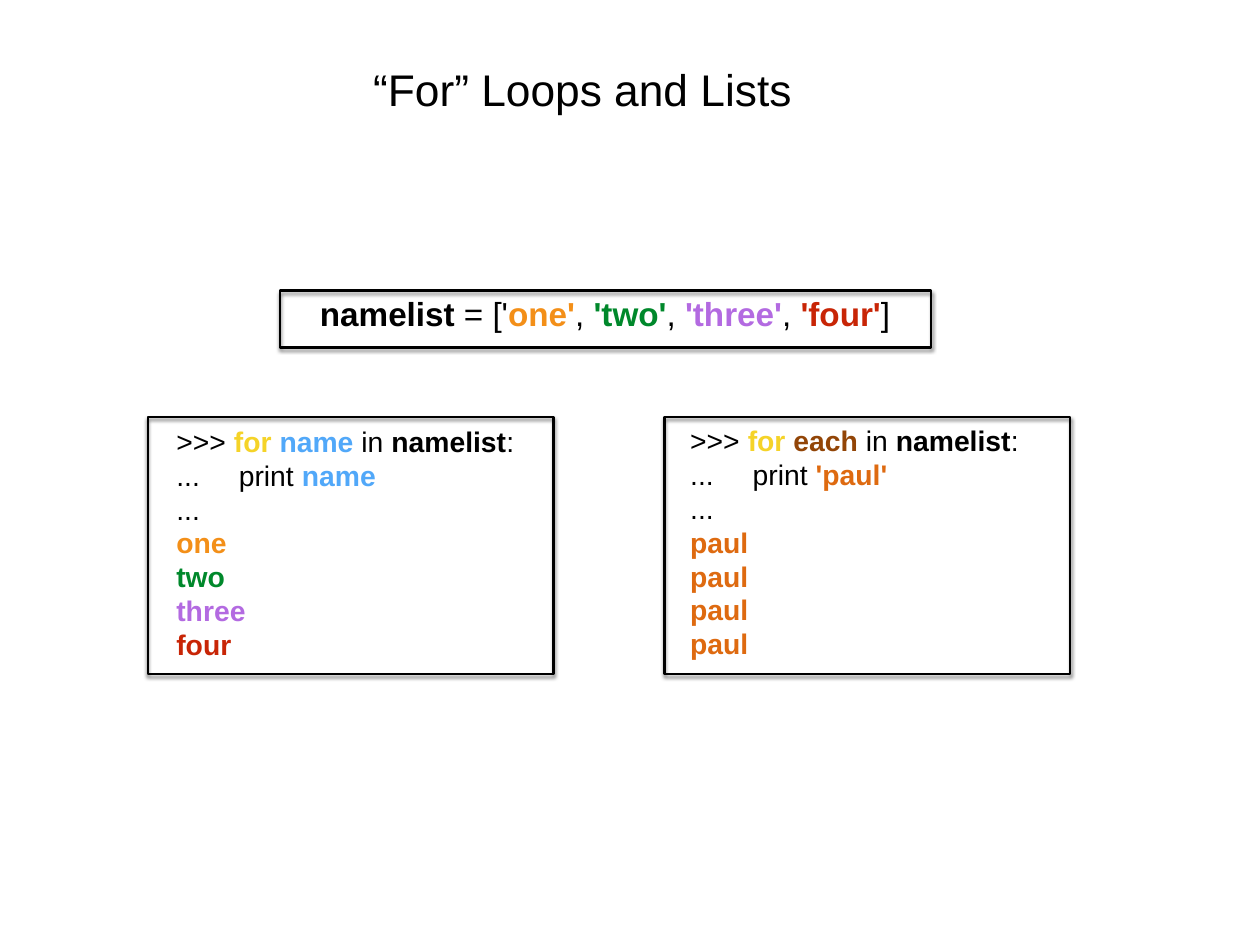
"""Build the slide on for loops and lists."""
from dataclasses import dataclass

from lxml.etree import SubElement
from pptx import Presentation
from pptx.dml.color import RGBColor
from pptx.enum.shapes import MSO_SHAPE
from pptx.enum.text import MSO_ANCHOR, MSO_AUTO_SIZE, PP_ALIGN
from pptx.oxml.ns import qn
from pptx.util import Pt

BLACK, YELLOW, BLUE, BROWN = "000000", "F5D328", "51A8F9", "924507"
ORANGE, GREEN, PURPLE, RED, RUST = "F38F18", "00882B", "B36AE1", "C82506", "DE6A10"
FRAME_FORMAT = {
    "word_wrap": True,
    "auto_size": MSO_AUTO_SIZE.NONE,
    "vertical_anchor": MSO_ANCHOR.MIDDLE,
    **{f"margin_{side}": Pt(4.3) for side in ("left", "top", "right", "bottom")},
}


@dataclass(frozen=True)
class Box:
    left: float
    top: float
    width: float
    height: float

    def lengths(self) -> list:
        return [Pt(v) for v in (self.left, self.top, self.width, self.height)]


@dataclass(frozen=True)
class Span:
    text: str
    color: str = BLACK
    bold: bool = False


@dataclass(frozen=True)
class Text:
    box: Box
    size: float
    lines: list[list[Span]]
    align: PP_ALIGN = PP_ALIGN.LEFT


def strong(text: str, color: str = BLACK) -> Span:
    return Span(text, color, True)


def loop_lines(variable: Span, printed: Span, output: list[Span]) -> list[list[Span]]:
    return [
        [Span(">>> "), strong("for ", YELLOW), variable, Span(" in "),
         strong("namelist"), Span(":")],
        [Span("...\tprint "), printed],
        [Span("...")],
        *[[word] for word in output],
    ]


FRAMES = [
    Box(120.2, 339.1, 329.8, 208.8),
    Box(227.5, 236.2, 529.2, 46.1),
    Box(540, 339.1, 329.8, 208.8),
]
TITLE = Text(Box(283.7, 43.9, 379.4, 56.9), 36,
             [[Span("“For” Loops and Lists")]], PP_ALIGN.CENTER)
NAME = strong("name", BLUE)
COUNT_WORDS = [strong("one", ORANGE), strong("two", GREEN),
               strong("three", PURPLE), strong("four", RED)]
TEXTS = [
    Text(Box(252.7, 234.7, 478.1, 40.3), 27, [[
        strong("namelist"), Span(" = ['"), strong("one'", ORANGE), Span(", "),
        strong("'two'", GREEN), Span(", "), strong("'three'", PURPLE), Span(", "),
        strong("'four'", RED), Span("]")]], PP_ALIGN.CENTER),
    Text(Box(139, 339.1, 295.2, 203.8), 23, loop_lines(NAME, NAME, COUNT_WORDS)),
    Text(Box(556.6, 338.4, 287.3, 203.8), 23, loop_lines(
        strong("each", BROWN), strong("'paul'", RUST), [strong("paul", RUST)] * 4)),
]


def rgb(color: str) -> RGBColor:
    return RGBColor.from_string(color)


def apply(target: object, values: dict) -> None:
    for name, value in values.items():
        setattr(target, name, value)


def add_tab_stop(p, position: float) -> None:
    tabs = SubElement(p._p.get_or_add_pPr(), qn("a:tabLst"))
    SubElement(tabs, qn("a:tab"), pos=str(Pt(position)), algn="l")


def write_text(s, text: Text) -> None:
    tf = s.text_frame
    apply(tf, FRAME_FORMAT)
    for i, line in enumerate(text.lines):
        p = tf.add_paragraph() if i else tf.paragraphs[0]
        p.alignment = text.align
        if any("\t" in span.text for span in line):
            add_tab_stop(p, 50.8)
        for span in line:
            r = p.add_run()
            r.text = span.text
            apply(r.font, {"name": "Arial", "size": Pt(text.size), "bold": span.bold})
            r.font.color.rgb = rgb(span.color)


def add_frame(shapes, box: Box) -> None:
    s = shapes.add_shape(MSO_SHAPE.RECTANGLE, *box.lengths())
    s.fill.background()
    s.line.color.rgb = rgb(BLACK)
    s.line.width = Pt(2)
    s.shadow.inherit = False
    effects = s._element.spPr.find(qn("a:effectLst"))
    shadow = SubElement(effects, qn("a:outerShdw"), blurRad=str(Pt(3)),
                        dist=str(Pt(2)), dir="5400000", rotWithShape="0")
    color = SubElement(shadow, qn("a:srgbClr"), val=BLACK)
    SubElement(color, qn("a:alpha"), val="50000")


def main() -> None:
    prs = Presentation()
    apply(prs, {"slide_width": Pt(1024), "slide_height": Pt(768)})
    slide = prs.slides.add_slide(prs.slide_layouts.get_by_name("Title Only"))
    title = slide.shapes.title
    apply(title, dict(zip(("left", "top", "width", "height"), TITLE.box.lengths())))
    write_text(title, TITLE)
    for frame in FRAMES:
        add_frame(slide.shapes, frame)
    for text in TEXTS:
        write_text(slide.shapes.add_textbox(*text.box.lengths()), text)
    prs.save("out.pptx")


if __name__ == "__main__":
    main()
